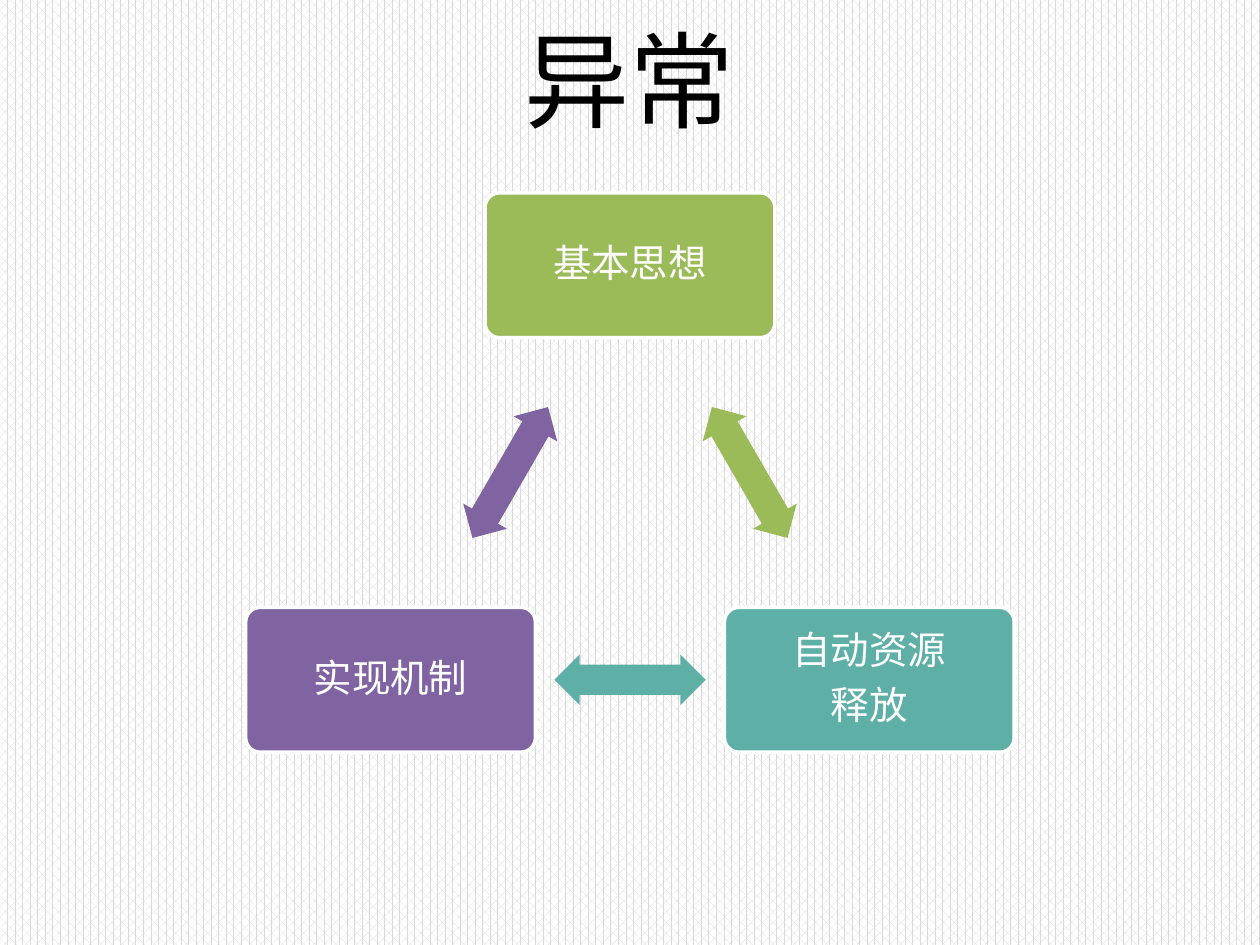
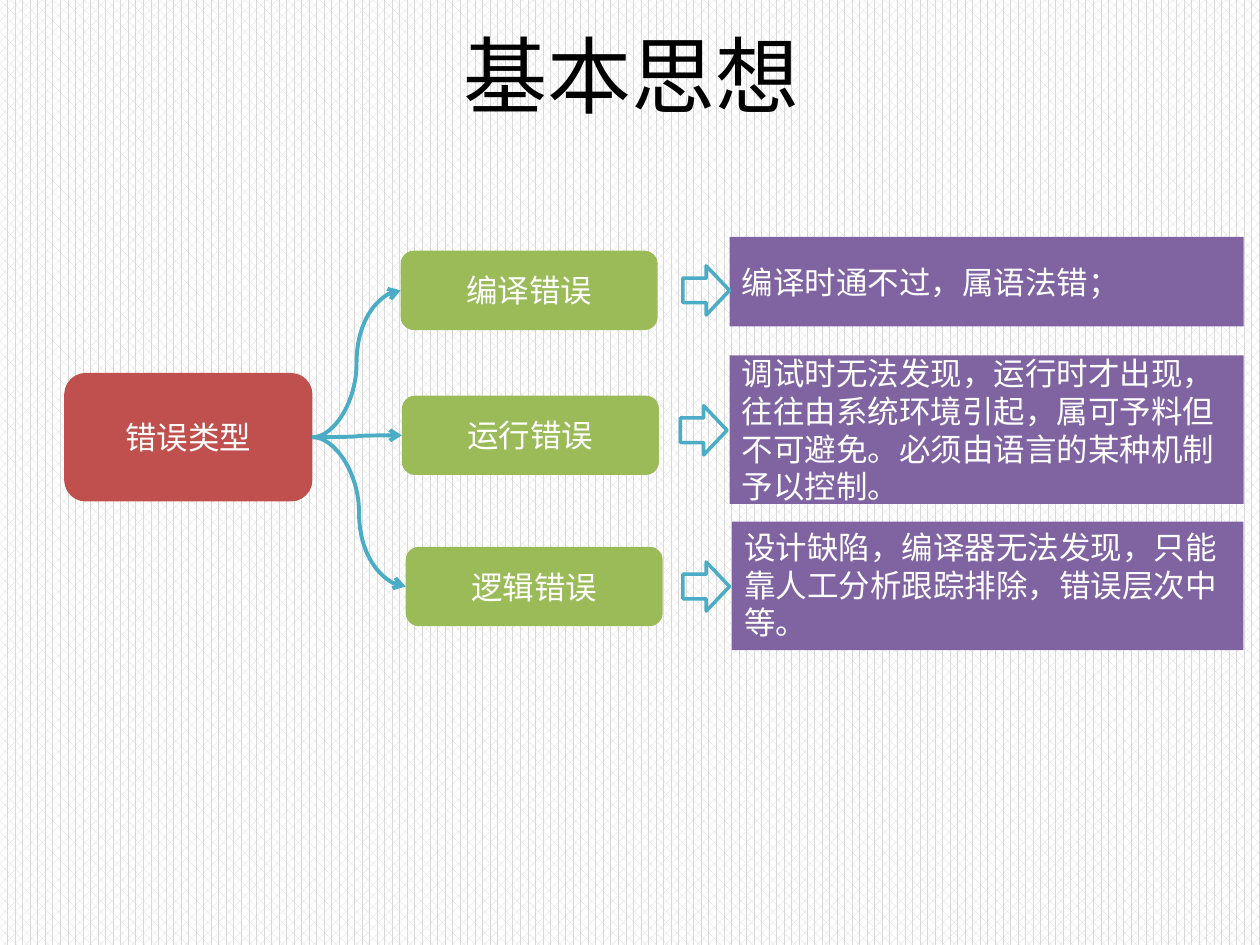
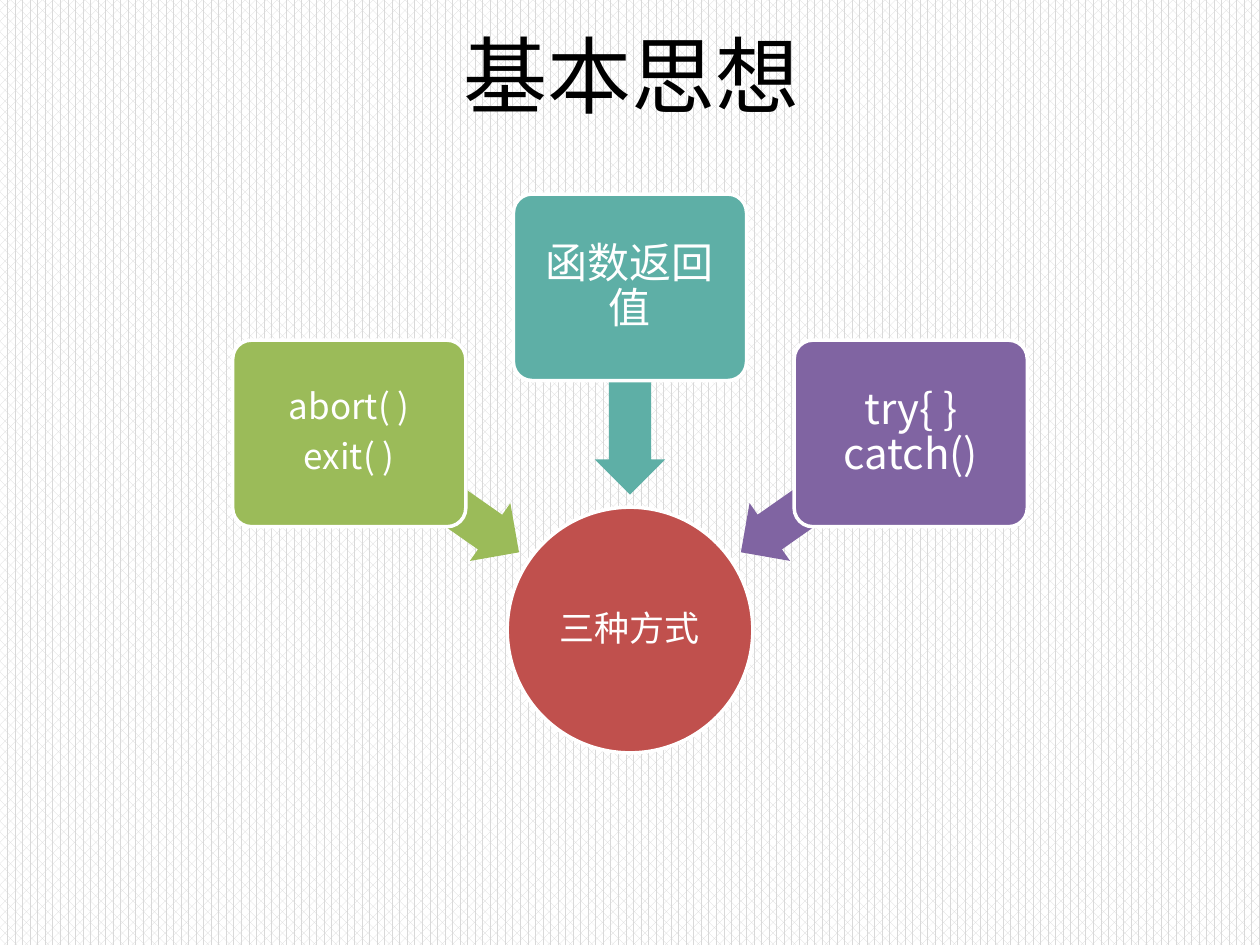
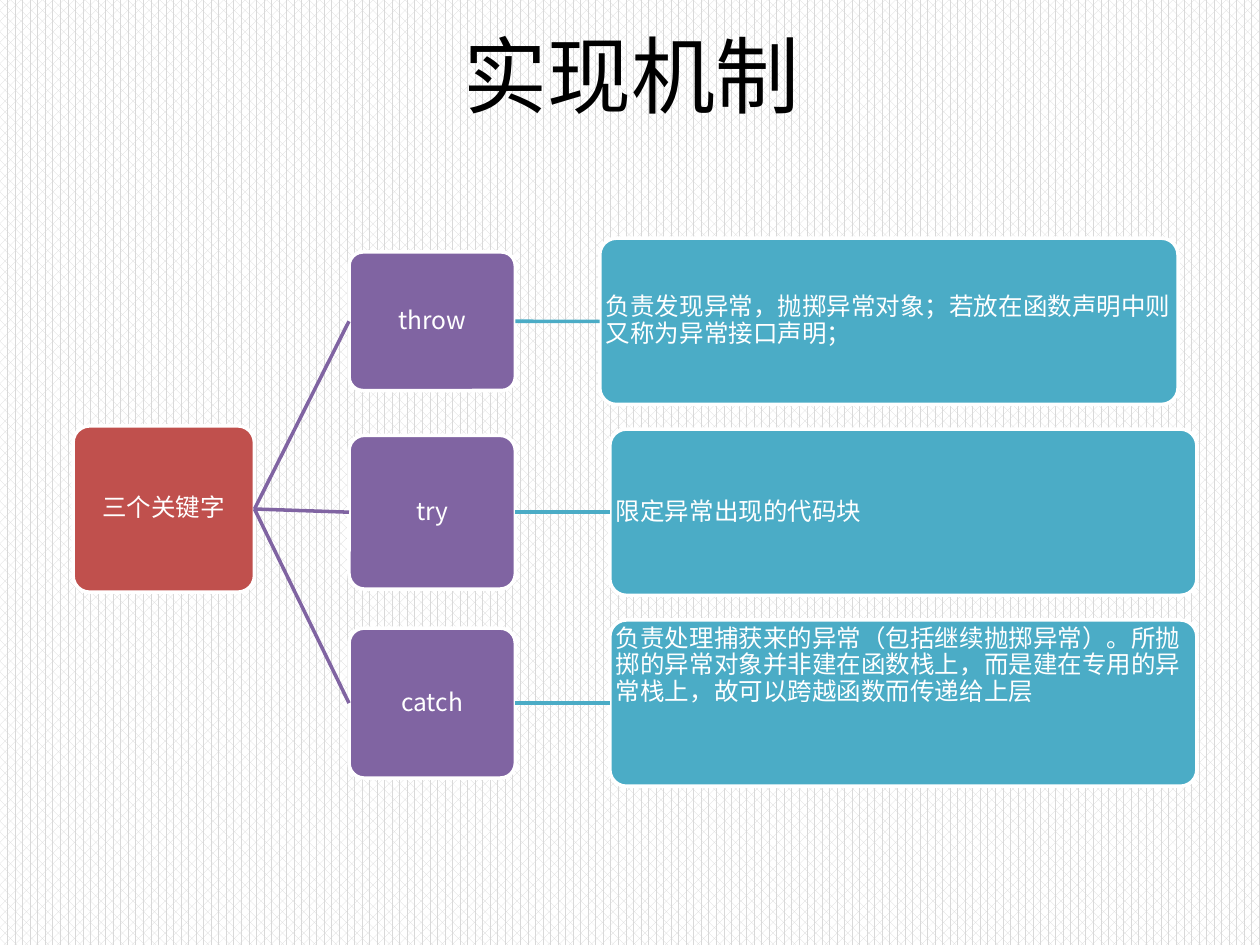
import math

import pptx
import pptx.dml.color
import pptx.enum.dml
import pptx.enum.shapes
import pptx.enum.text
import pptx.oxml
import pptx.util

Inches = pptx.util.Inches
Pt = pptx.util.Pt
SHAPE = pptx.enum.shapes.MSO_SHAPE
CONNECTOR = pptx.enum.shapes.MSO_CONNECTOR
ALIGN = pptx.enum.text.PP_ALIGN
ANCHOR = pptx.enum.text.MSO_ANCHOR

COLORS = {
    "black": "000000", "white": "FFFFFF", "grey": "D9D9D9", "red": "C0504D",
    "green": "9BBB59", "teal": "5EAFA6", "purple": "8064A2", "blue": "4BACC6",
}
TITLE_FONT = "Noto Sans CJK JP"
BODY_FONT = "Noto Sans CJK SC"
TOP, LEFT, RIGHT = 0, 1, 3  # connection sites


def rgb(name):
    return pptx.dml.color.RGBColor.from_string(COLORS[name])


def write(tf, text, size, color="white", font=BODY_FONT, align=ALIGN.CENTER,
          anchor=ANCHOR.MIDDLE, inset=None, tight=False):
    """Fill a text frame, one paragraph per line of text."""
    tf.word_wrap = True
    tf.vertical_anchor = anchor
    if inset is not None:
        tf.margin_left = tf.margin_right = Inches(inset)
        tf.margin_top = tf.margin_bottom = Inches(inset)
    for i, line in enumerate(text.split("\n")):
        p = tf.add_paragraph() if i else tf.paragraphs[0]
        p.text = line
        p.alignment = align
        p.font.size, p.font.name = Pt(size), font
        p.font.color.rgb = rgb(color)
        if tight:
            p.line_spacing = 0.9
            p.space_after = Pt(0.35 * size)


def add_shape(s, kind, box, fill=None, line=None, adj=(), rot=0):
    sp = s.shapes.add_shape(kind, *map(Inches, box))
    sp.shadow.inherit = False
    sp.rotation = rot
    for i, value in enumerate(adj):
        sp.adjustments[i] = value
    if fill:
        sp.fill.solid()
        sp.fill.fore_color.rgb = rgb(fill)
    else:
        sp.fill.background()
    if line:
        sp.line.color.rgb = rgb(line)
        sp.line.width = Pt(2)
    else:
        sp.line.fill.background()
    return sp


def add_card(s, box, fill, text, size, **style):
    """Rounded card with a white outline."""
    sp = add_shape(s, SHAPE.ROUNDED_RECTANGLE, box, fill, "white", adj=[0.1])
    write(sp.text_frame, text, size, tight=True, **style)
    return sp


def centred(cx, cy, w, h):
    return cx - w / 2, cy - h / 2, w, h


def join(s, kind, start, end, color, width, arrow=False):
    """Connect the right side of one shape to the left side of another."""
    c = s.shapes.add_connector(kind, 0, 0, 0, 0)
    c.begin_connect(start, RIGHT)
    c.end_connect(end, LEFT)
    c.line.color.rgb = rgb(color)
    c.line.width = Pt(width)
    if arrow:
        tail = pptx.oxml.ns.qn("a:tailEnd")
        c.line._get_or_add_ln().append(
            c._element.makeelement(tail, {"type": "arrow"}))
    c._element.spPr.append(
        c._element.makeelement(pptx.oxml.ns.qn("a:effectLst"), {}))


def add_slide(prs, title, box=(0.51, 0.01, 9, 1.15), size=48):
    s = prs.slides.add_slide(prs.slide_layouts[6])
    tb = s.shapes.add_textbox(*map(Inches, box))
    write(tb.text_frame, title, size, "black", TITLE_FONT)
    return s


# Triangle of topics with two-way arrows
def topic_cycle(s, x, y, w, h):
    card_w, card_h = 2.3, 1.15
    left, right = x + card_w / 2, x + w - card_w / 2
    top, bottom = y + card_h / 2, y + h - card_h / 2
    topics = [
        ("基本思想", "green", x + w / 2, top, 60),
        ("自动资源\n释放", "teal", right, bottom, 180),
        ("实现机制", "purple", left, bottom, 300),
    ]
    for i, (text, color, cx, cy, rot) in enumerate(topics):
        add_card(s, centred(cx, cy, card_w, card_h), color, text, 22,
                 font="Calibri", inset=0.09)
        next_x, next_y = topics[(i + 1) % 3][2:4]
        middle = centred((cx + next_x) / 2, (cy + next_y) / 2, 1.2, 0.4)
        add_shape(s, SHAPE.LEFT_RIGHT_ARROW, middle, color,
                  adj=[0.6, 0.5], rot=rot)


# Error types: root, branches and explanations
def error_tree(s, x, y):
    root = add_shape(s, SHAPE.ROUNDED_RECTANGLE,
                     (x, y + 1.08, 1.97, 1.02), "red")
    write(root.text_frame, "错误类型", 18)
    # name, branch offset, arrow offset, detail box, detail text, anchor
    rows = [
        ("编译错误", (2.67, 0.11), (4.91, 0.23), (5.28, 0, 4.08, 0.71),
         "编译时通不过，属语法错；", ANCHOR.MIDDLE),
        ("运行错误", (2.68, 1.26), (4.89, 1.34), (5.28, 0.94, 4.08, 1.18),
         "调试时无法发现，运行时才出现，往往由系统环境引起，属可予料但不可避免。"
         "必须由语言的某种机制予以控制。", ANCHOR.MIDDLE),
        ("逻辑错误", (2.71, 2.46), (4.91, 2.58), (5.3, 2.26, 4.06, 1.02),
         "设计缺陷，编译器无法发现，只能靠人工分析跟踪排除，错误层次中等。",
         ANCHOR.TOP),
    ]
    for name, (bx, by), (ax, ay), (dx, dy, dw, dh), text, anchor in rows:
        branch = add_shape(s, SHAPE.ROUNDED_RECTANGLE,
                           (x + bx, y + by, 2.04, 0.63), "green")
        write(branch.text_frame, name, 18)
        detail = add_shape(s, SHAPE.RECTANGLE, (x + dx, y + dy, dw, dh),
                           "purple")
        write(detail.text_frame, text, 18, align=ALIGN.LEFT, anchor=anchor)
        join(s, CONNECTOR.CURVE, root, branch, "blue", 2.25, arrow=True)
        add_shape(s, SHAPE.RIGHT_ARROW, (x + ax, y + ay, 0.37, 0.39),
                  line="blue")


# Three ways pointing at a central circle
def converging_ways(s, cx, cy):
    hub = add_shape(s, SHAPE.OVAL, centred(cx, cy, 1.95, 1.95), "red", "white")
    write(hub.text_frame, "三种方式", 20, inset=0.01, tight=True)
    ways = [
        ("abort( )\nexit( )", "green", 20, 215),
        ("函数返回值", "teal", 24, 270),
        ("try{ } catch()", "purple", 24, 325),
    ]
    for text, color, size, angle in ways:
        dx, dy = math.cos(math.radians(angle)), math.sin(math.radians(angle))
        add_shape(s, SHAPE.LEFT_ARROW,
                  centred(cx + 1.9 * dx, cy + 1.9 * dy, 1.65, 0.56),
                  color, adj=[0.6, 0.5], rot=angle)
        # The arrow's tail is hidden under its card
        add_card(s, centred(cx + 2.72 * dx, cy + 2.72 * dy, 1.85, 1.48),
                 color, text, size, inset=0.05)


# Keywords: root, keyword cards and explanations
def keyword_tree(s, x, y):
    root = add_card(s, (x, y + 1.49, 1.44, 1.32), "red", "三个关键字", 14,
                    inset=0.01)
    # keyword, card height, detail offset and width, text, anchor
    rows = [
        ("throw", 1.1, 4.18, 4.59,
         "负责发现异常，抛掷异常对象；若放在函数声明中则又称为异常接口声明；",
         ANCHOR.MIDDLE),
        ("try", 1.22, 4.26, 4.66, "限定异常出现的代码块", ANCHOR.MIDDLE),
        ("catch", 1.19, 4.26, 4.66,
         "负责处理捕获来的异常（包括继续抛掷异常）。所抛掷的异常对象并非建在函数栈上，"
         "而是建在专用的异常栈上，故可以跨越函数而传递给上层", ANCHOR.TOP),
    ]
    detail_h, pitch = 1.32, 1.515
    for i, (word, card_h, dx, dw, text, anchor) in enumerate(rows):
        top = y + i * pitch
        middle = top + detail_h / 2
        card = add_card(s, (x + 2.19, middle - card_h / 2, 1.32, card_h),
                        "purple", word, 14, inset=0.01)
        detail = add_card(s, (x + dx, top, dw, detail_h), "blue", text, 14,
                          align=ALIGN.LEFT, anchor=anchor, inset=0.01)
        join(s, CONNECTOR.STRAIGHT, root, card, "purple", 2)
        join(s, CONNECTOR.STRAIGHT, card, detail, "blue", 2)


def main():
    prs = pptx.Presentation()
    prs.slide_width, prs.slide_height = Inches(10), Inches(7.5)

    # Shared patterned background
    fill = prs.slide_master.background.fill
    fill.patterned()
    fill.pattern = pptx.enum.dml.MSO_PATTERN.PERCENT_60
    fill.fore_color.rgb = rgb("grey")
    fill.back_color.rgb = rgb("white")

    topic_cycle(add_slide(prs, "异常", (0.5, 0, 9, 1.25), 60),
                1.95, 1.53, 6.1, 4.44)
    error_tree(add_slide(prs, "基本思想"), 0.51, 1.88)
    converging_ways(add_slide(prs, "基本思想"), 5, 5)
    keyword_tree(add_slide(prs, "实现机制"), 0.58, 1.89)
    prs.save("out.pptx")


if __name__ == "__main__":
    main()
